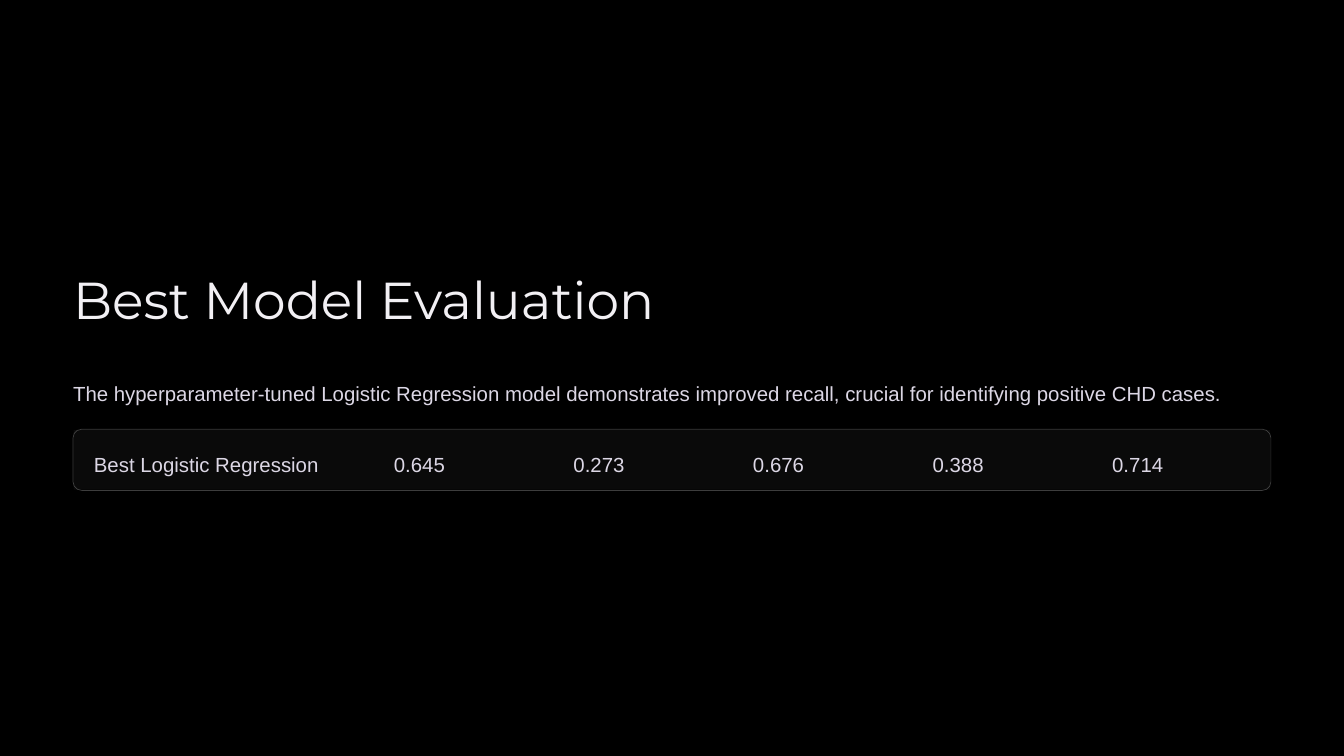
from dataclasses import dataclass

from lxml.etree import SubElement
from pptx import Presentation
from pptx.dml.color import RGBColor
from pptx.enum.shapes import MSO_SHAPE as Shape
from pptx.oxml.ns import qn
from pptx.util import Cm, Pt

TITLE = "Best Model Evaluation"
SUMMARY = ("The hyperparameter-tuned Logistic Regression model demonstrates "
           "improved recall, crucial for identifying positive CHD cases.")
MODEL = "Best Logistic Regression"
SCORES = ["0.645", "0.273", "0.676", "0.388", "0.714"]


@dataclass(frozen=True)
class Theme:
    background: str = "000000"
    title: str = "F2F0F4"
    body: str = "DCD7E5"
    panel: str = "FFFFFF"
    title_font: str = "Montserrat"
    body_font: str = "Arial"
    title_size: float = 44.5
    body_size: float = 17.5
    title_leading: float = 55.5
    body_leading: float = 28.5


T = Theme()

# Lengths in centimetres
MARGIN, WIDTH = 2.21, 36.22
PANEL_TOP, PANEL_HEIGHT, PANEL_INSET = 12.98, 1.85, 0.02
ROW_TOP, LINE_HEIGHT = 13.41, 1.02
MODEL_LEFT, MODEL_WIDTH = 2.84, 7.77
SCORE_LEFT, SCORE_WIDTH, SCORE_PITCH = 11.91, 4.14, 5.43


def add_text(s, text, left, top, width, height=LINE_HEIGHT, *, font=T.body_font,
             size=T.body_size, color=T.body, leading=T.body_leading):
    tf = s.shapes.add_textbox(Cm(left), Cm(top), Cm(width), Cm(height)).text_frame
    tf.margin_left = tf.margin_top = tf.margin_right = tf.margin_bottom = 0
    tf.word_wrap = False
    p = tf.paragraphs[0]
    p.line_spacing = Pt(leading)
    r = p.add_run()
    r.text = text
    r.font.name, r.font.size = font, Pt(size)
    r.font.color.rgb = RGBColor.from_string(color)


def set_solid(fill, color, percent):
    """Make a fill solid, with the given opacity."""
    fill.solid()
    fill.fore_color.rgb = RGBColor.from_string(color)
    clr = fill._xPr.find(".//" + qn("a:srgbClr"))
    SubElement(clr, qn("a:alpha"), val=str(percent * 1000))


def add_panel(s):
    def add_layer(kind, inset):
        sp = s.shapes.add_shape(kind, Cm(MARGIN + inset), Cm(PANEL_TOP + inset),
                                Cm(WIDTH - 2 * inset), Cm(PANEL_HEIGHT - 2 * inset))
        sp.shadow.inherit = False
        return sp

    border = add_layer(Shape.ROUNDED_RECTANGLE, 0)
    border.adjustments[0] = 0.14
    border.fill.background()
    border.line.width = Pt(0.6)
    set_solid(border.line.fill, T.panel, 24)

    tint = add_layer(Shape.RECTANGLE, PANEL_INSET)
    tint.line.fill.background()
    set_solid(tint.fill, T.panel, 4)


def main():
    prs = Presentation()
    prs.slide_width, prs.slide_height = Cm(40.64), Cm(22.86)
    s = prs.slides.add_slide(prs.slide_layouts[6])
    s.background.fill.solid()
    s.background.fill.fore_color.rgb = RGBColor.from_string(T.background)

    add_text(s, TITLE, MARGIN, 8.03, 17.63, 1.98, font=T.title_font,
             size=T.title_size, color=T.title, leading=T.title_leading)
    add_text(s, SUMMARY, MARGIN, 11.25, WIDTH)
    add_panel(s)
    add_text(s, MODEL, MODEL_LEFT, ROW_TOP, MODEL_WIDTH)
    for i, score in enumerate(SCORES):
        add_text(s, score, SCORE_LEFT + i * SCORE_PITCH, ROW_TOP, SCORE_WIDTH)

    prs.save("out.pptx")


if __name__ == "__main__":
    main()
